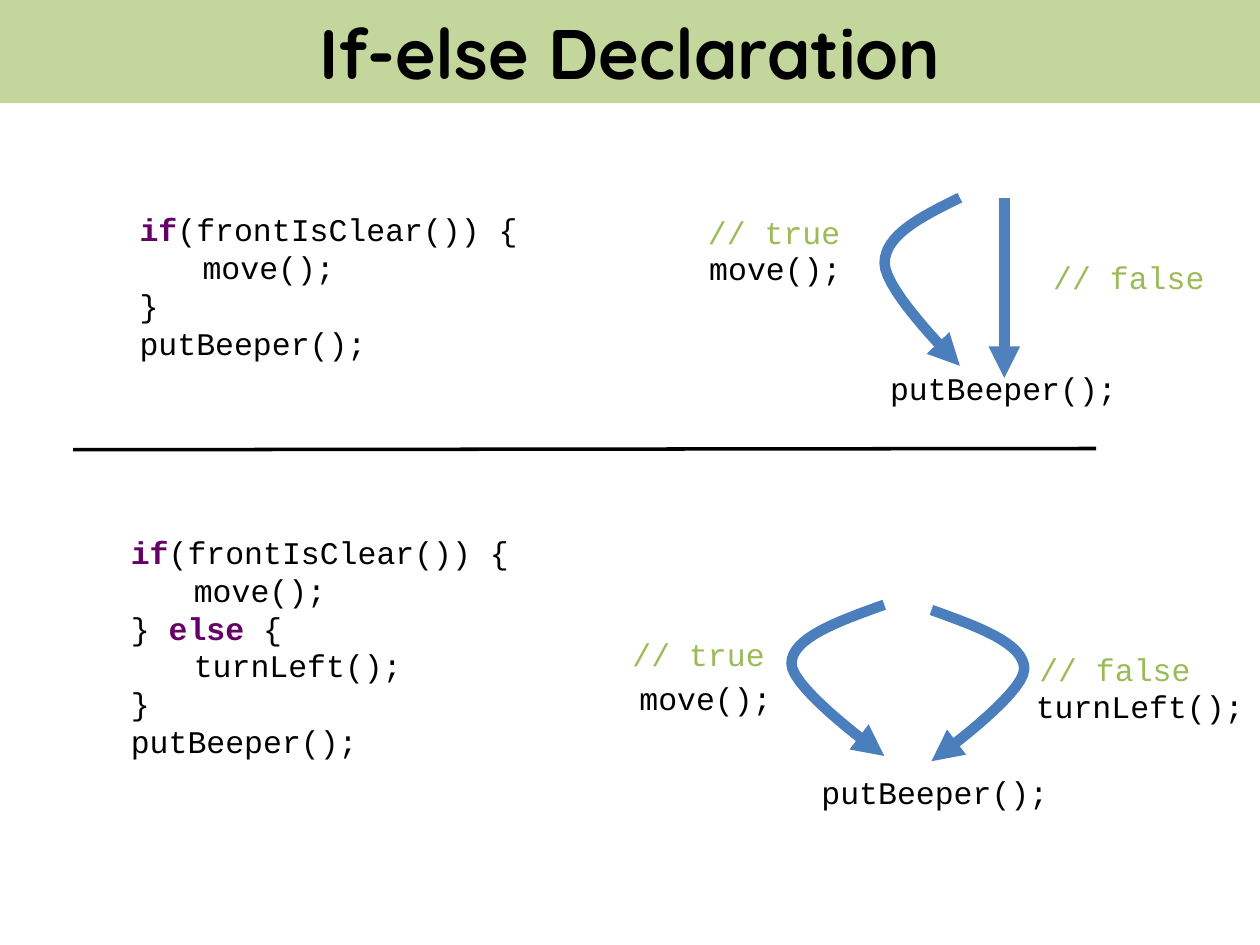
import pptx
import pptx.dml.color
import pptx.enum.shapes
import pptx.enum.text
import pptx.oxml
import pptx.oxml.ns
import pptx.util

Pt = pptx.util.Pt
RGB = pptx.dml.color.RGBColor
ALIGN = pptx.enum.text.PP_ALIGN
ANCHOR = pptx.enum.text.MSO_ANCHOR

BLACK = RGB(0x00, 0x00, 0x00)
BAND = RGB(0xC3, 0xD6, 0x9B)
KEYWORD = RGB(0x66, 0x00, 0x66)
COMMENT = RGB(0x9B, 0xBB, 0x59)
ARROW = RGB(0x4F, 0x81, 0xBD)
CURVE = RGB(0x4B, 0x7E, 0xBC)

CODE_FONT = "Courier New"
KEYWORDS = ("if", "else")
TAB = 36
LABEL_H = 29
CURVE_STEPS = 16


def append_xml(parent, xml):
    parent.append(pptx.oxml.parse_xml(xml.replace("/>", f' {pptx.oxml.ns.nsdecls("a")}/>', 1)))


def write(p, text, font=CODE_FONT, size=18, color=BLACK, bold=False):
    r = p.add_run()
    r.text = text
    r.font.name = font
    r.font.size = Pt(size)
    r.font.color.rgb = color
    r.font.bold = bold


def add_label(s, text, x, y, w, **fmt):
    tf = s.shapes.add_textbox(Pt(x), Pt(y), Pt(w), Pt(LABEL_H)).text_frame
    tf.word_wrap = False
    write(tf.paragraphs[0], text, **fmt)


def add_title(s, text, x, y, w, h):
    sp = s.shapes.add_shape(pptx.enum.shapes.MSO_SHAPE.RECTANGLE, Pt(x), Pt(y), Pt(w), Pt(h))
    sp.shadow.inherit = False
    sp.fill.solid()
    sp.fill.fore_color.rgb = BAND
    sp.line.fill.background()
    tf = sp.text_frame
    tf.vertical_anchor = ANCHOR.MIDDLE
    p = tf.paragraphs[0]
    p.alignment = ALIGN.CENTER
    write(p, text, font="Quicksand", size=40, bold=True)


def add_code(s, lines, x, y, w, h):
    tf = s.shapes.add_textbox(Pt(x), Pt(y), Pt(w), Pt(h)).text_frame
    tf.word_wrap = True
    for i, parts in enumerate(lines):
        p = tf.add_paragraph() if i else tf.paragraphs[0]
        tabs = pptx.oxml.parse_xml(f'<a:tabLst {pptx.oxml.ns.nsdecls("a")}/>')
        append_xml(tabs, f'<a:tab pos="{Pt(TAB)}" algn="l"/>')
        p._p.get_or_add_pPr().append(tabs)
        for part in parts:
            key = part in KEYWORDS
            write(p, part, color=KEYWORD if key else BLACK, bold=key)


def style_line(sp, color, width, arrow=False):
    sp.line.color.rgb = color
    sp.line.width = Pt(width)
    if arrow:
        append_xml(sp.line._get_or_add_ln(), '<a:tailEnd type="triangle"/>')


def add_line(s, x1, y1, x2, y2, color, width, arrow=False):
    c = s.shapes.add_connector(
        pptx.enum.shapes.MSO_CONNECTOR.STRAIGHT, Pt(x1), Pt(y1), Pt(x2), Pt(y2))
    style_line(c, color, width, arrow)
    append_xml(c._element.spPr, "<a:effectLst/>")


def bezier(points, t):
    weights = ((1 - t) ** 3, 3 * t * (1 - t) ** 2, 3 * t * t * (1 - t), t ** 3)
    return tuple(sum(k * pt[axis] for k, pt in zip(weights, points)) for axis in (0, 1))


def add_curve(s, x, y, w, h, bulge_right=False):
    upper = ((1, 0), (0.5, 0.11), (0, 0.22), (0, 0.39))
    lower = ((0, 0.39), (0, 0.56), (1, 1), (1, 1))
    points = [upper[0]] + [bezier(half, i / CURVE_STEPS)
                           for half in (upper, lower) for i in range(1, CURVE_STEPS + 1)]
    placed = [(Pt(x + w * (1 - u if bulge_right else u)), Pt(y + h * v)) for u, v in points]
    fb = s.shapes.build_freeform(*placed[0])
    fb.add_line_segments(placed[1:], close=False)
    sp = fb.convert_to_shape()
    sp.shadow.inherit = False
    sp.fill.background()
    style_line(sp, CURVE, 6, arrow=True)


def add_if_flow(s, x, y):
    add_label(s, "move();", x + 0.7, y + 26, 91)
    add_label(s, "// true", x, y + 5, 91, color=COMMENT)
    add_label(s, "// false", x + 197.3, y + 31, 102, color=COMMENT)
    add_line(s, x + 176.4, y, x + 176.4, y + 103, ARROW, 6, arrow=True)
    add_curve(s, x + 108, y, 43, 96)
    add_label(s, "putBeeper();", x + 104, y + 94.4, 145)


def add_if_else_flow(s, x, y):
    add_label(s, "putBeeper();", x + 108, y + 92.3, 145)
    add_label(s, "// true", x, y + 13.5, 91, color=COMMENT)
    add_label(s, "// false", x + 232.5, y + 22.2, 102, color=COMMENT)
    add_label(s, "turnLeft();", x + 230.5, y + 43.5, 134)
    add_label(s, "move();", x + 4, y + 39, 91)
    add_curve(s, x + 98, y, 53, 86.4)
    add_curve(s, x + 178, y + 3, 53, 86.4, bulge_right=True)


def main():
    prs = pptx.Presentation()
    prs.slide_width, prs.slide_height = Pt(720), Pt(540)
    s = prs.slides.add_slide(prs.slide_layouts[6])
    add_title(s, "If-else Declaration", 0, 0, 720, 59)
    head = [("if", "(frontIsClear()) {"), ("\tmove();",)]
    tail = [("}",), ("putBeeper();",)]
    add_code(s, head + tail, 72.7, 116.6, 360, 94)
    add_code(s, head + [("} ", "else", " {"), ("\tturnLeft();",)] + tail, 67.7, 301, 360, 138)
    add_if_flow(s, 397.5, 113)
    add_if_else_flow(s, 354.3, 345.6)
    add_line(s, 41.8, 257, 626.4, 256.3, BLACK, 2)
    prs.save("out.pptx")


if __name__ == "__main__":
    main()
